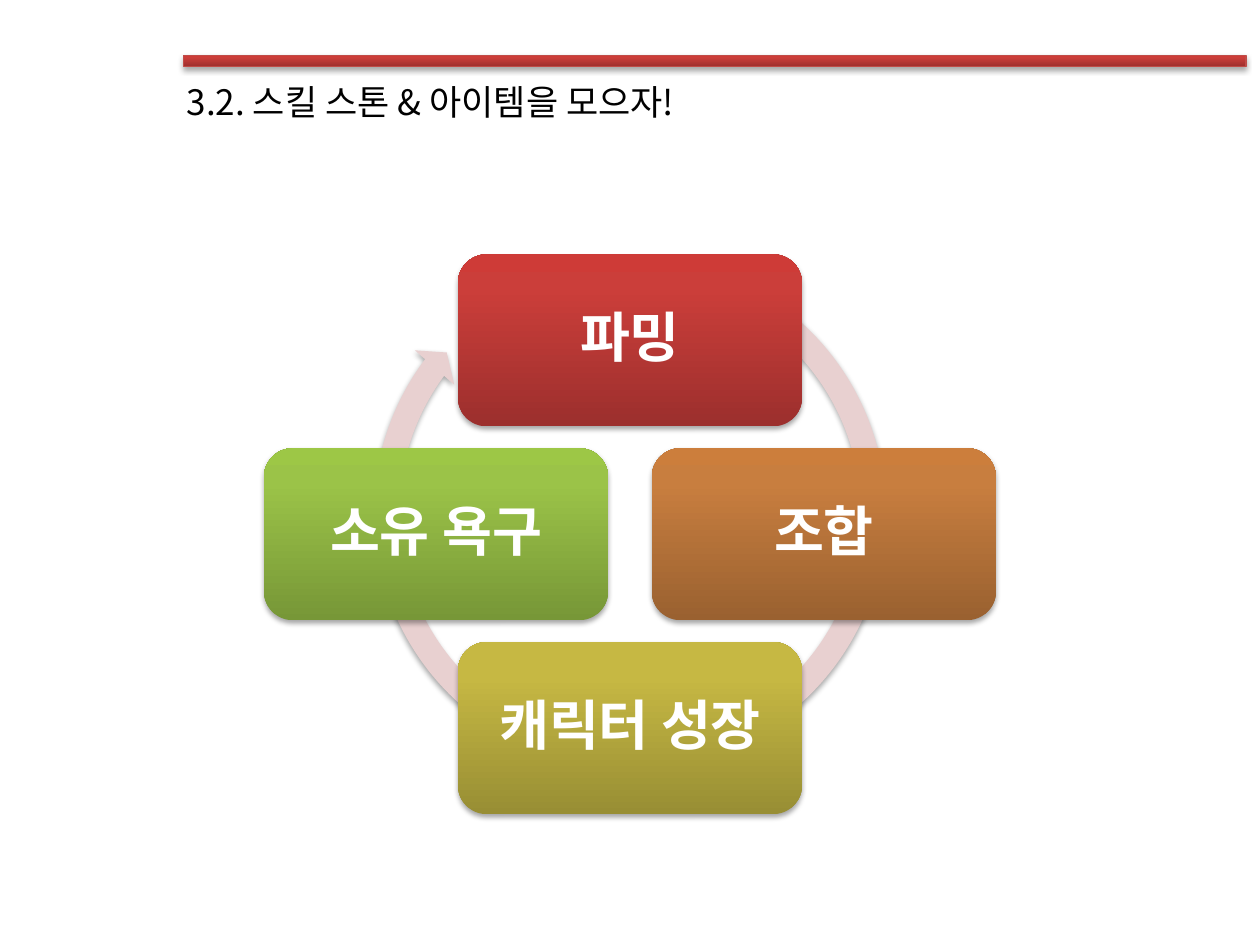
from copy import deepcopy

from lxml import etree
from pptx import Presentation
from pptx.dml.color import RGBColor
from pptx.enum.shapes import MSO_SHAPE as Geo
from pptx.enum.text import MSO_ANCHOR as Anchor, MSO_AUTO_SIZE as Fit, PP_ALIGN as Align
from pptx.oxml.ns import qn
from pptx.util import Pt

FONT = "Noto Sans CJK KR"
TITLE = "3.2. 스킬 스톤 & 아이템을 모으자!"
RED = ("9C2F2D", "CB3E3A", "CE3B37")
# Label, direction from the centre (x, y), gradient from bottom to top
STEPS = [
    ("파밍", (0, -1), RED),
    ("조합", (1, 0), ("9A6130", "C87E3F", "CC7E3C")),
    ("캐릭터 성장", (0, 1), ("988E34", "C6B843", "C9BB41")),
    ("소유 욕구", (-1, 0), ("779737", "9BC348", "9DC746")),
]
STOPS = (0, 0.8, 1)
MID_X, MID_Y, REACH = 360, 305.3, 110.8
BOX_W, BOX_H = 196.6, 98.3
RING = (206, 139, 308, 308)
RING_ADJ = (0.04668, 2.729, 129.974, 179.187, 0.04847)


def color(code):
    return RGBColor.from_string(code)


def shade(shape):
    """Give the shape a soft shadow falling straight down."""
    shape.shadow.inherit = False
    effects = shape._element.spPr.find(qn("a:effectLst"))
    outer = etree.SubElement(effects, qn("a:outerShdw"), blurRad=str(Pt(3.1)),
                             dist=str(Pt(1.8)), dir="5400000",
                             algn="ctr", rotWithShape="0")
    black = etree.SubElement(outer, qn("a:srgbClr"), val="000000")
    etree.SubElement(black, qn("a:alpha"), val="35000")


def blend(shape, codes):
    """Fill with a three-stop gradient running upwards."""
    shape.fill.gradient()
    shape.fill.gradient_angle = 90
    stops = shape._element.spPr.find(".//" + qn("a:gsLst"))
    stops.append(deepcopy(stops[-1]))
    for stop, place, code in zip(shape.fill.gradient_stops, STOPS, codes):
        stop.position = place
        stop.color.rgb = color(code)


def add(slide, kind, box):
    shape = slide.shapes.add_shape(kind, *map(Pt, box))
    shape.line.fill.background()
    shade(shape)
    return shape


def style(para, size, code, bold, align):
    para.alignment = align
    for run in para.runs:
        font = run.font
        font.name, font.size, font.bold = FONT, Pt(size), bold
        font.color.rgb = color(code)
        latin = run._r.rPr.find(qn("a:latin"))
        latin.addnext(latin.makeelement(qn("a:ea"), typeface=FONT))


def main():
    deck = Presentation()
    deck.slide_width, deck.slide_height = Pt(720), Pt(540)
    slide = deck.slides.add_slide(deck.slide_layouts[5])

    title = slide.shapes.title
    title.left, title.top, title.width, title.height = map(Pt, (99.4, 42.5, 510.5, 31.7))
    frame = title.text_frame
    frame.text = TITLE
    frame.auto_size, frame.vertical_anchor = Fit.NONE, Anchor.TOP
    style(frame.paragraphs[0], 20, "000000", False, Align.LEFT)

    bar = add(slide, Geo.RECTANGLE, (105, 31.7, 607, 6.5))
    blend(bar, RED)
    bar.line.color.rgb = color("BF4C48")
    bar.line.width = Pt(0.75)

    ring = add(slide, Geo.CIRCULAR_ARROW, RING)
    for i, value in enumerate(RING_ADJ):
        ring.adjustments[i] = value
    ring.fill.solid()
    ring.fill.fore_color.rgb = color("E8D0D0")

    for label, (dx, dy), codes in STEPS:
        left = MID_X + dx * REACH - BOX_W / 2
        top = MID_Y + dy * REACH - BOX_H / 2
        step = add(slide, Geo.ROUNDED_RECTANGLE, (left, top, BOX_W, BOX_H))
        blend(step, codes)
        frame = step.text_frame
        frame.text = label
        frame.word_wrap, frame.vertical_anchor = True, Anchor.MIDDLE
        frame.margin_left = frame.margin_right = Pt(9.3)
        frame.margin_top = frame.margin_bottom = Pt(9.3)
        para = frame.paragraphs[0]
        para.line_spacing = 0.9
        style(para, 31, "FFFFFF", True, Align.CENTER)

    deck.save("out.pptx")


if __name__ == "__main__":
    main()
